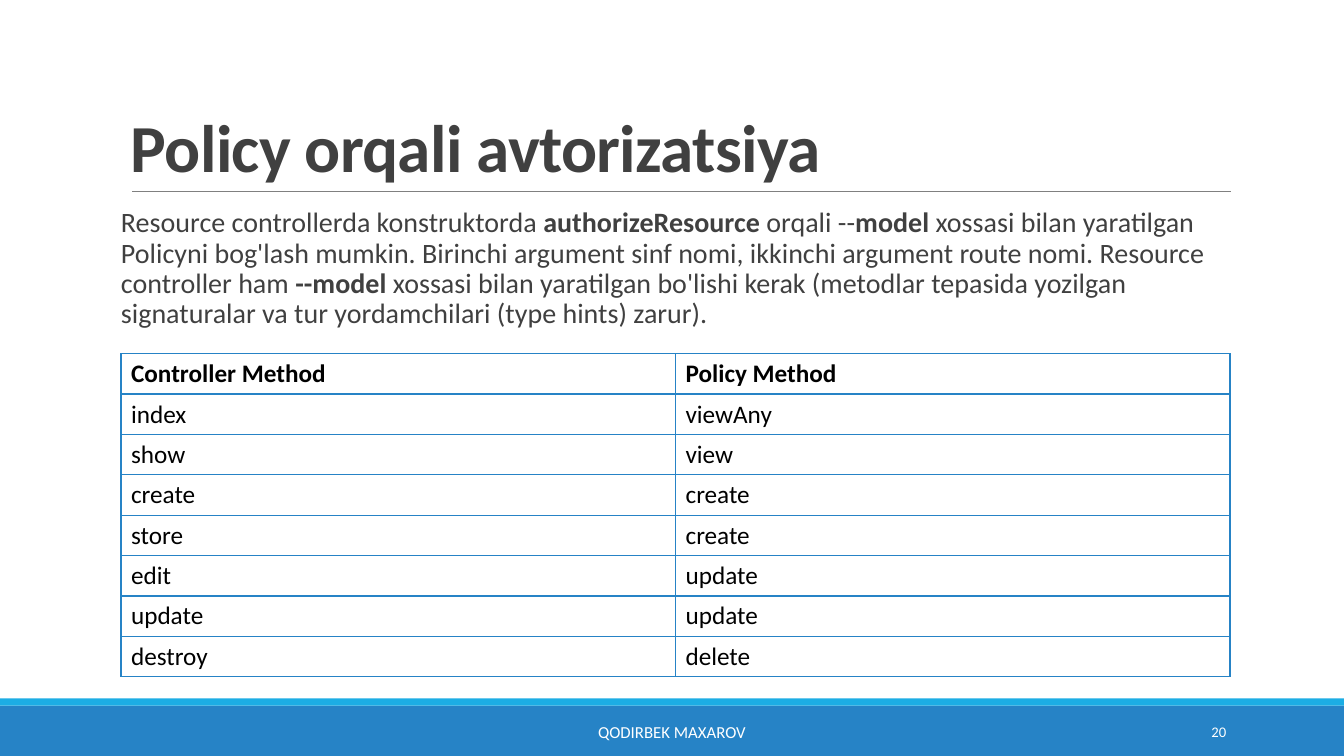
from dataclasses import dataclass

from lxml import etree
from pptx import Presentation
from pptx.dml.color import RGBColor
from pptx.enum.shapes import MSO_CONNECTOR, MSO_SHAPE
from pptx.enum.text import MSO_ANCHOR, PP_ALIGN
from pptx.oxml.ns import qn
from pptx.util import Inches, Pt

RECT = MSO_SHAPE.RECTANGLE
STRAIGHT = MSO_CONNECTOR.STRAIGHT
TOP, MIDDLE, BOTTOM = MSO_ANCHOR.TOP, MSO_ANCHOR.MIDDLE, MSO_ANCHOR.BOTTOM
LEFT, CENTER, RIGHT = PP_ALIGN.LEFT, PP_ALIGN.CENTER, PP_ALIGN.RIGHT


@dataclass(frozen=True)
class Theme:
    font: str = "Calibri"
    text: str = "404040"
    black: str = "000000"
    white: str = "FFFFFF"
    rule: str = "808080"
    blue: str = "2683C6"
    cyan: str = "1CADE4"
    title_size: float = 48
    body_size: float = 20
    table_size: float = 18
    footer_size: float = 12
    number_size: float = 10.5


THEME = Theme()

BODY_RUNS = [
    ("Resource controllerda konstruktorda ", False),
    ("authorizeResource", True),
    (" orqali --", False),
    ("model", True),
    (" xossasi bilan yaratilgan Policyni bog'lash mumkin. Birinchi argument sinf nomi, "
     "ikkinchi argument route nomi. Resource controller ham ", False),
    ("--model", True),
    (" xossasi bilan yaratilgan bo'lishi kerak (metodlar tepasida yozilgan signaturalar "
     "va tur yordamchilari (type hints) zarur).", False),
]

METHOD_ROWS = [
    ("Controller Method", "Policy Method"),
    ("index", "viewAny"),
    ("show", "view"),
    ("create", "create"),
    ("store", "create"),
    ("edit", "update"),
    ("update", "update"),
    ("destroy", "delete"),
]


def set_font(font, size, color, bold=None):
    font.name = THEME.font
    font.size = Pt(size)
    font.color.rgb = RGBColor.from_string(color)
    font.bold = bold


def add_bar(s, top, height, color):
    bar = s.shapes.add_shape(RECT, 0, Inches(top), Inches(13.33), Inches(height))
    bar.shadow.inherit = False
    bar.fill.solid()
    bar.fill.fore_color.rgb = RGBColor.from_string(color)
    bar.line.fill.background()


def add_rule(s, left, right, y):
    line = s.shapes.add_connector(STRAIGHT, Inches(left), Inches(y), Inches(right), Inches(y))
    line.line.color.rgb = RGBColor.from_string(THEME.rule)
    line.line.width = Pt(0.5)
    etree.SubElement(line._element.spPr, qn("a:effectLst"))


def add_text(s, box, runs, size, color, anchor=MIDDLE, align=LEFT, inset=0.1):
    tf = s.shapes.add_textbox(*map(Inches, box)).text_frame
    tf.word_wrap = True
    tf.vertical_anchor = anchor
    tf.margin_left = tf.margin_right = Inches(inset)
    p = tf.paragraphs[0]
    p.alignment = align
    set_font(p.font, size, color)
    for text, bold in runs:
        r = p.add_run()
        r.text = text
        r.font.bold = bold
    return p


def set_borders(cell, widths):
    tcPr = cell._tc.get_or_add_tcPr()
    for side, width in widths.items():
        ln = etree.SubElement(tcPr, qn(f"a:ln{side}"), w=str(Pt(width)))
        fill = etree.SubElement(ln, qn("a:solidFill"))
        etree.SubElement(fill, qn("a:srgbClr"), val=THEME.blue)


def add_method_table(s, left, top, width, row_height, rows):
    count = len(rows)
    table = s.shapes.add_table(count, len(rows[0]), Inches(left), Inches(top),
                               Inches(width), Inches(row_height * count)).table
    table.first_row = table.horz_banding = False
    for i, row in enumerate(rows):
        for j, text in enumerate(row):
            cell = table.cell(i, j)
            cell.text = text
            cell.vertical_anchor = MIDDLE
            set_font(cell.text_frame.paragraphs[0].font, THEME.table_size, THEME.black, i == 0)
            set_borders(cell, {"L": 1, "R": 1, "T": 2 if i == 1 else 1, "B": 2 if i == 0 else 1})
            cell.fill.background()


def main():
    prs = Presentation()
    prs.slide_width, prs.slide_height = Inches(13.33), Inches(7.5)
    s = prs.slides.add_slide(prs.slide_layouts[6])

    add_bar(s, 7, 0.5, THEME.blue)
    add_bar(s, 6.93, 0.07, THEME.cyan)
    add_rule(s, 1.31, 12.21, 1.9)

    title = add_text(s, (1.2, 0.31, 11, 1.59), [("Policy orqali avtorizatsiya", True)],
                     THEME.title_size, THEME.text, BOTTOM)
    title.line_spacing = 0.85
    title.runs[0]._r.get_or_add_rPr().set("spc", "-50")

    body = add_text(s, (1.2, 2.02, 11, 4.88), BODY_RUNS,
                    THEME.body_size, THEME.text, TOP, inset=0)
    body.line_spacing = 0.9
    body.space_before, body.space_after = Pt(12), Pt(2)

    add_method_table(s, 1.2, 3.51, 11, 0.4, METHOD_ROWS)

    add_text(s, (4.03, 7.06, 5.27, 0.4), [("QODIRBEK MAXAROV", False)],
             THEME.footer_size, THEME.white, align=CENTER)
    add_text(s, (10.83, 7.06, 1.43, 0.4), [("20", False)],
             THEME.number_size, THEME.white, align=RIGHT)

    prs.save("out.pptx")


if __name__ == "__main__":
    main()
